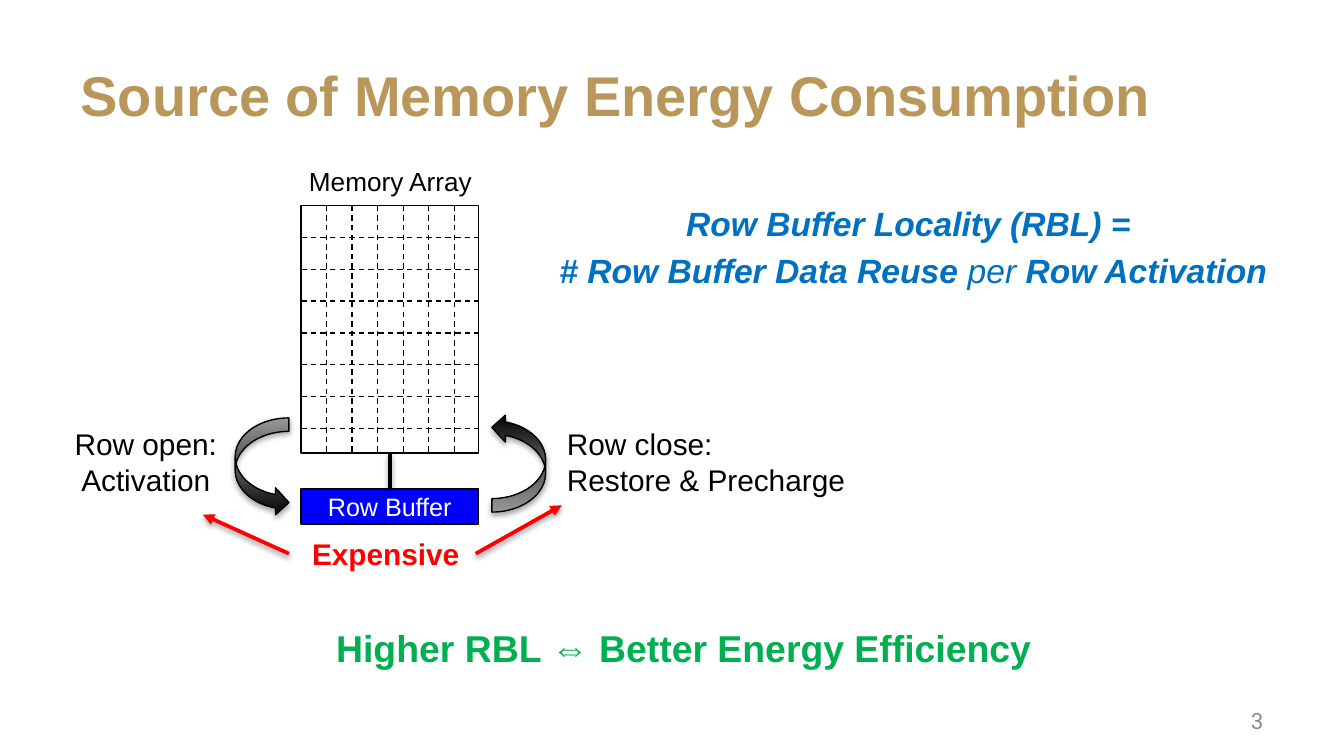
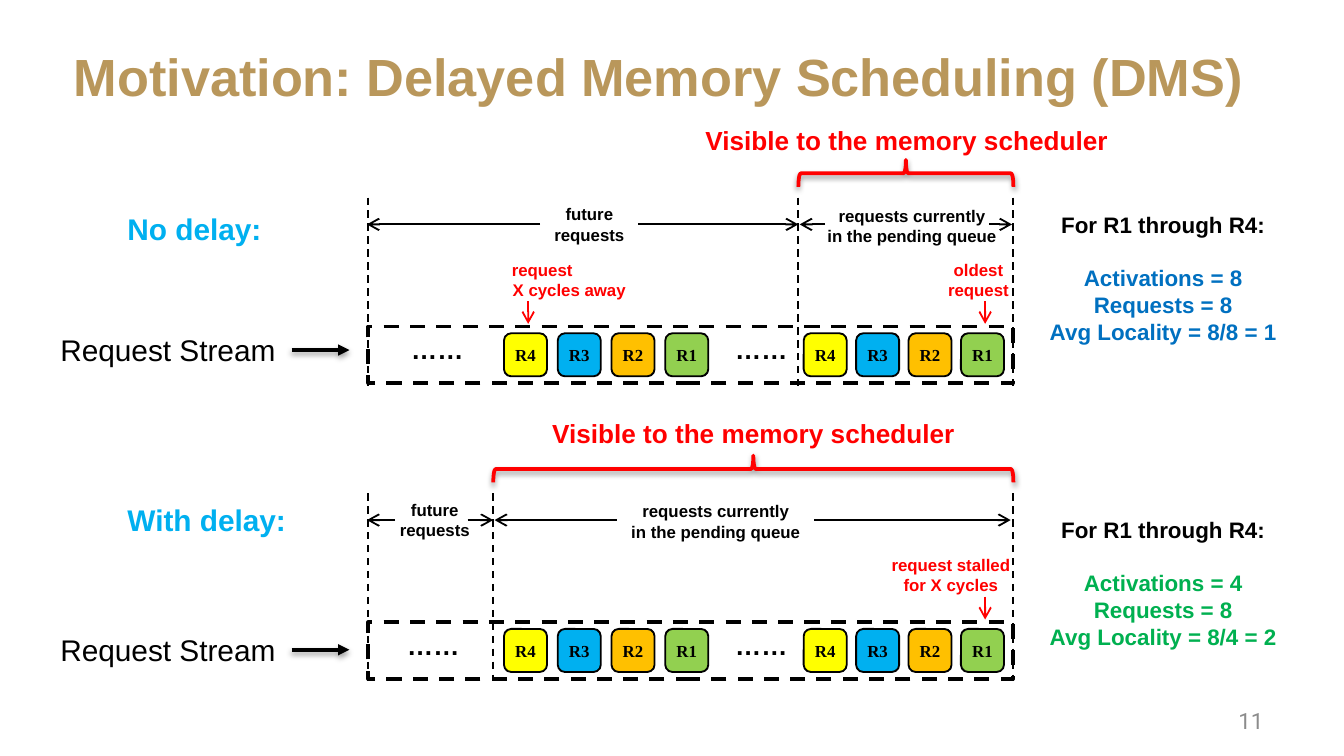
from pptx import Presentation
from pptx.dml.color import RGBColor
from pptx.enum.dml import MSO_LINE
from pptx.enum.shapes import MSO_CONNECTOR, MSO_SHAPE
from pptx.enum.text import MSO_ANCHOR, MSO_AUTO_SIZE, PP_ALIGN
from pptx.oxml.ns import qn
from pptx.util import Inches, Pt
from lxml import etree

RECT, ROUND = MSO_SHAPE.RECTANGLE, MSO_SHAPE.ROUNDED_RECTANGLE
CURVE, BRACE = MSO_SHAPE.CURVED_RIGHT_ARROW, MSO_SHAPE.LEFT_BRACE
STRAIGHT, DASH = MSO_CONNECTOR.STRAIGHT, MSO_LINE.DASH
ALIGN = {"l": PP_ALIGN.LEFT, "c": PP_ALIGN.CENTER, "r": PP_ALIGN.RIGHT}
TOP, MIDDLE = MSO_ANCHOR.TOP, MSO_ANCHOR.MIDDLE

WIDE, HIGH = 10, 10 * 9 / 16  # 16:9 page
BLACK, WHITE, GOLD, GREY = "000000", "FFFFFF", "B9975B", "8C8C8C"
RED, BLUE, GREEN, SKY = "FF0000", "0070C0", "00B050", "00B0F0"

# Content: memory array slide
RBL = [
    "Row Buffer Locality (RBL) = ",
    [("# Row Buffer Data Reuse ", {}), ("per", {"bold": False}),
     (" Row Activation", {})],
]
LABELS = [  # box, lines, format
    ((4.01, 1.46, 5.57, 1), RBL,
     dict(size=18, color=BLUE, bold=True, italic=True, gaps={1: 3.6})),
    ((0.09, 3.12, 1.99, 0.64), ["Row open:", "Activation"], dict(size=16)),
    ((4.12, 3.12, 2.36, 0.64), ["Row close:", "Restore & Precharge"],
     dict(size=16, align="l")),
    ((1.2, 3.94, 3.34, 0.44), ["Expensive"],
     dict(size=16, color=RED, bold=True)),
    ((1.91, 4.6, 6.36, 0.44), ["Higher RBL ⇔ Better Energy Efficiency"],
     dict(size=20, color=GREEN, bold=True)),
]
LOOPS = [((1.75, 3.11), 0), ((3.66, 3.08), 180)]
COSTS = [((2.15, 4.12), (1.51, 3.83)), ((3.54, 4.12), (4.18, 3.76))]

# Content: scheduling slide
CHIPS = [("R4", "FFFF00"), ("R3", SKY), ("R2", "FFC000"), ("R1", "92D050")]
SETS = [(3.75, 0.4), (5.98, 0.39)]  # left of first chip, pitch
PENDING = ["requests currently", "in the pending queue"]
FUTURE = ["future", "requests"]
START, END = 2.74, 7.54
LANES = [
    dict(top=2.43, split=5.94, name="No delay:", name_y=1.52,
         stream_y=2.42, dots=2.42, seen=(5.15, 0.88), brace_y=1.19,
         future=4.02, pending=6.05,
         spans=[(4.02, 2.73), (4.75, 5.94), (6.14, 5.95), (7.36, 7.53)],
         notes=[((6.95, 0.66), ["oldest", "request"], "c", 7.33),
                ((3.71, 1.05), ["request", "X cycles away"], "lc", 3.93)],
         stats_y=1.52, tone=BLUE,
         stats=["Activations = 8", "Requests = 8", "Avg Locality = 8/8 = 1"]),
    dict(top=4.63, split=3.67, name="With delay:", name_y=3.68,
         stream_y=4.65, dots=2.39, seen=(4.01, 3.06), brace_y=3.39,
         future=2.87, pending=4.59,
         spans=[(2.94, 2.73), (3.48, 3.67), (4.59, 3.68), (6.06, 7.52)],
         notes=[((6.51, 1.13), ["request stalled", "for X cycles"], "c", 7.33)],
         stats_y=3.79, tone=GREEN,
         stats=["Activations = 4", "Requests = 8", "Avg Locality = 8/4 = 2"]),
]


def rgb(code):
    return RGBColor.from_string(code)


def inch(nums):
    return [Inches(n) for n in nums]


def write(shape, lines, size=9, color=BLACK, font="Arial", bold=False,
          italic=False, align="c", anchor=TOP, wrap=True, inset=None, gaps={}):
    """Fill a shape; align holds one letter per line, the last one repeats."""
    frame = shape.text_frame
    frame.word_wrap, frame.auto_size = wrap, MSO_AUTO_SIZE.NONE
    frame.vertical_anchor = anchor
    if inset is not None:
        frame.margin_left = frame.margin_right = Inches(inset)
        frame.margin_top = frame.margin_bottom = Inches(inset)
    for i, line in enumerate(lines):
        para = frame.add_paragraph() if i else frame.paragraphs[0]
        para.alignment = ALIGN[align[min(i, len(align) - 1)]]
        if i in gaps:
            para.space_before = Pt(gaps[i])
        for words, own in [(line, {})] if isinstance(line, str) else line:
            run = para.add_run()
            run.text = words
            face = run.font
            face.name, face.size = font, Pt(size)
            face.bold, face.italic = own.get("bold", bold), italic
            face.color.rgb = rgb(own.get("color", color))
    return shape


def label(slide, at, lines, **fmt):
    return write(slide.shapes.add_textbox(*inch(at)), lines, **fmt)


def shade(effects, alpha, dist):
    cast = etree.SubElement(effects, qn("a:outerShdw"), blurRad=str(Pt(3.1)),
                            dist=str(Pt(dist)), dir="5400000", rotWithShape="0")
    tone = etree.SubElement(cast, qn("a:srgbClr"), val=BLACK)
    etree.SubElement(tone, qn("a:alpha"), val=str(alpha * 1000))


def ink(line, color, width, dash=False):
    line.color.rgb, line.width = rgb(color), Pt(width)
    if dash:
        line.dash_style = DASH


def form(slide, kind, at, fill=None, line=BLACK, width=0.75, dash=False,
         shadow=None):
    shape = slide.shapes.add_shape(kind, *inch(at))
    if fill:
        shape.fill.solid()
        shape.fill.fore_color.rgb = rgb(fill)
    else:
        shape.fill.background()
    if line:
        ink(shape.line, line, width, dash)
    else:
        shape.line.fill.background()
    shape.shadow.inherit = False
    if shadow:
        shade(shape._element.spPr.find(qn("a:effectLst")), *shadow)
    return shape


def rule(slide, start, end, color=BLACK, width=1, dash=False, head=None,
         shadow=False):
    link = slide.shapes.add_connector(STRAIGHT, *inch(start + end))
    ink(link.line, color, width, dash)
    if head:
        line = link._element.spPr.find(qn("a:ln"))
        etree.SubElement(line, qn("a:tailEnd"), type=head)
    effects = etree.SubElement(link._element.spPr, qn("a:effectLst"))
    if shadow:
        shade(effects, 38, 1.6)
    return link


def page(deck, title, at, size, number):
    slide = deck.slides.add_slide(deck.slide_layouts[5])
    head = slide.shapes.title
    head.left, head.top, head.width, head.height = inch(at)
    write(head, [title], size=size, color=GOLD, bold=True, align="l",
          anchor=MIDDLE)
    label(slide, (7.17, 5.21, 2.33, 0.3), [number], size=12, color=GREY,
          font="Roboto", align="r", anchor=MIDDLE)
    return slide


def array(slide):
    # Memory array with its dashed grid
    left, top, wide, high = 2.24, 1.53, 1.32, 1.84
    title = form(slide, RECT, (2, 1.18, 1.81, 0.34), WHITE, None)
    write(title, ["Memory Array"], size=14)
    cells = form(slide, RECT, (left, top, wide, high))
    for i in range(1, 8):
        y = top + 0.71 / 3 * i
        rule(slide, (left, y), (left + wide, y), width=0.75, dash=True)
    for i in range(1, 7):
        x = left + 0.19 * i
        rule(slide, (x, top), (x, top + high), width=0.75, dash=True)

    # Row buffer joined to the array
    buffer = form(slide, RECT, (left, 3.64, wide, 0.26), "0000FF")
    write(buffer, ["Row Buffer"], size=13.5, color=WHITE, anchor=MIDDLE,
          inset=0)
    bus = rule(slide, (2.9, 3.37), (2.9, 3.64), width=2, shadow=True)
    bus.begin_connect(cells, 2)
    bus.end_connect(buffer, 0)

    # Open and close loops, cost arrows, labels
    for spot, turn in LOOPS:
        loop = form(slide, CURVE, spot + (0.4, 0.73), shadow=(35, 1.8))
        loop.rotation = turn
        loop.fill.gradient()
        loop.fill.gradient_angle = 90
        for stop, tone in zip(loop.fill.gradient_stops, (BLACK, "BDBDBD")):
            stop.color.rgb = rgb(tone)
    for start, end in COSTS:
        rule(slide, start, end, RED, 2, head="triangle", shadow=True)
    for at, lines, fmt in LABELS:
        label(slide, at, lines, **fmt)


def lane(slide, row):
    top, split = row["top"], row["split"]
    small = dict(bold=True, wrap=False)

    # Request stream
    form(slide, RECT, (START, top, END - START, 0.42), WHITE, width=2,
         dash=True)
    for x in (row["dots"], 4.83):
        label(slide, (x, top + 0.05, 1.67, 0.24), ["……"], size=14, bold=True,
              anchor=MIDDLE)
    for left, pitch in SETS:
        for i, (name, tone) in enumerate(CHIPS):
            at = (left + pitch * i, top + 0.05, 0.32, 0.32)
            chip = form(slide, ROUND, at, tone, width=1)
            write(chip, [name], font="Times New Roman", bold=True,
                  anchor=MIDDLE, inset=0)
    text = label(slide, (0.33, row["stream_y"], 1.84, 0.37),
                 ["Request Stream"], size=16)
    y = row["stream_y"] + 0.37 / 2
    flow = rule(slide, (2.17, y), (2.6, y), width=2, head="triangle",
                shadow=True)
    flow.begin_connect(text, 3)

    # Limits and spans
    for x in (START, split, END):
        rule(slide, (x, top - 0.96), (x, top + 0.44), dash=True)
    y = top - 0.76
    for start, end in row["spans"]:
        rule(slide, (start, y), (end, y), head="arrow")
    label(slide, (row["future"], top - 0.96, 0.73, 0.4), FUTURE, **small)
    label(slide, (row["pending"], top - 0.95, 1.47, 0.4), PENDING, **small)

    # Marked requests
    for (x, wide), lines, align, tip in row["notes"]:
        label(slide, (x, top - 0.55, wide, 0.4), lines, color=RED,
              align=align, **small)
        rule(slide, (tip, top - 0.19), (tip, top - 0.02), RED, head="arrow")

    # Visible window: a brace turned on its side
    wide, long = 0.2, END - split
    at = ((split + END - wide) / 2, row["brace_y"] + (wide - long) / 2,
          wide, long)
    form(slide, BRACE, at, line=RED, width=2, shadow=(38, 1.6)).rotation = 90
    label(slide, row["seen"] + (3.23, 0.34),
          ["Visible to the memory scheduler"], size=14, color=RED, bold=True,
          align="l")

    # Lane name and result
    label(slide, (0.85, row["name_y"], 1.85, 0.99), [row["name"]], size=16,
          color=SKY, bold=True, align="l")
    stats = [[(line, {"color": row["tone"]})] for line in row["stats"]]
    label(slide, (7.7, row["stats_y"], 1.91, 1.11),
          ["For R1 through R4:"] + stats, size=12, gaps={1: 14}, **small)


def main():
    deck = Presentation()
    deck.slide_width, deck.slide_height = inch((WIDE, HIGH))
    array(page(deck, "Source of Memory Energy Consumption",
               (0.5, 0.23, 9, 0.94), 30, "3"))
    plan = page(deck, "Motivation: Delayed Memory Scheduling (DMS)",
                (0.45, 0.09, 9.22, 0.94), 28, "11")
    for row in LANES:
        lane(plan, row)
    deck.save("out.pptx")


if __name__ == "__main__":
    main()
